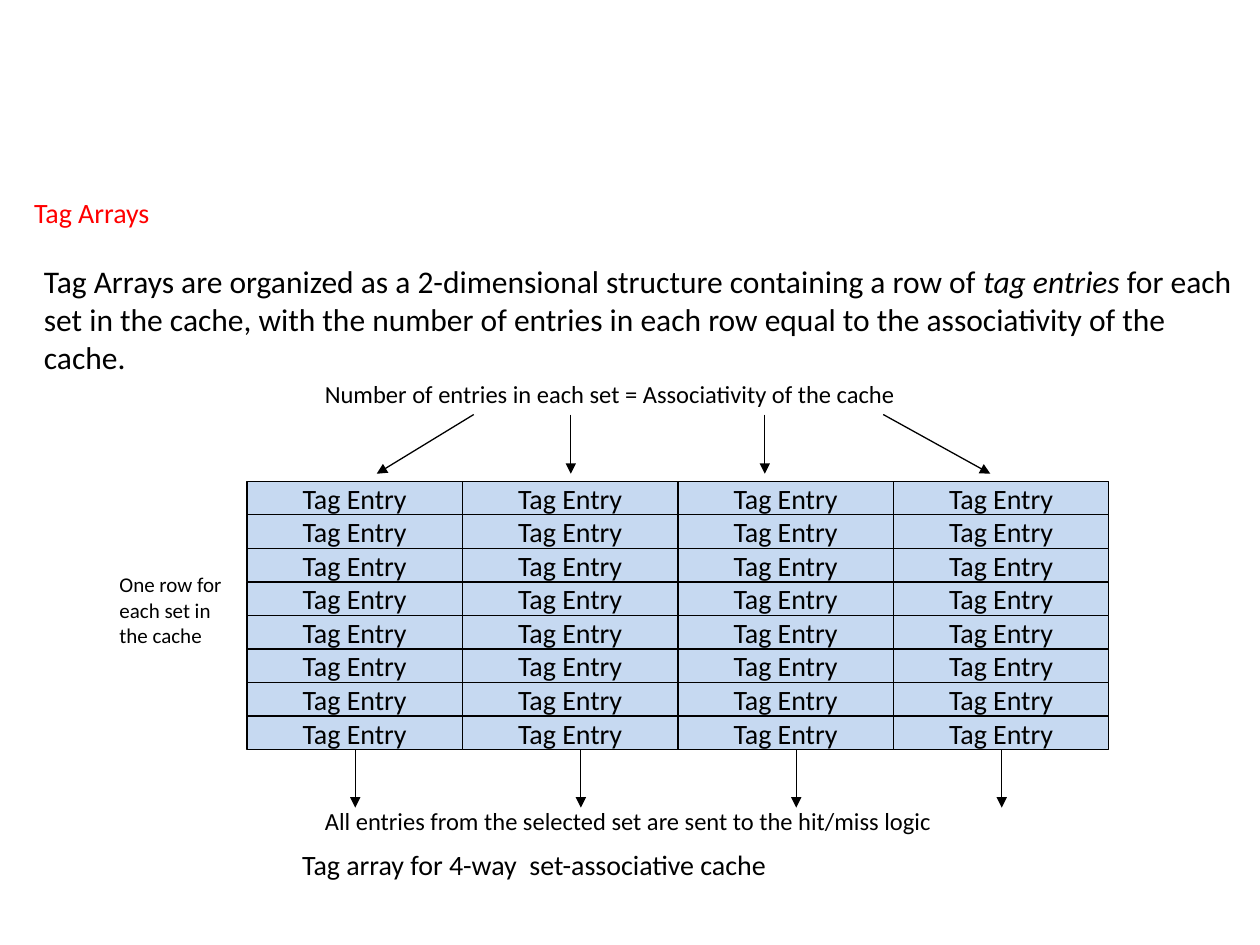
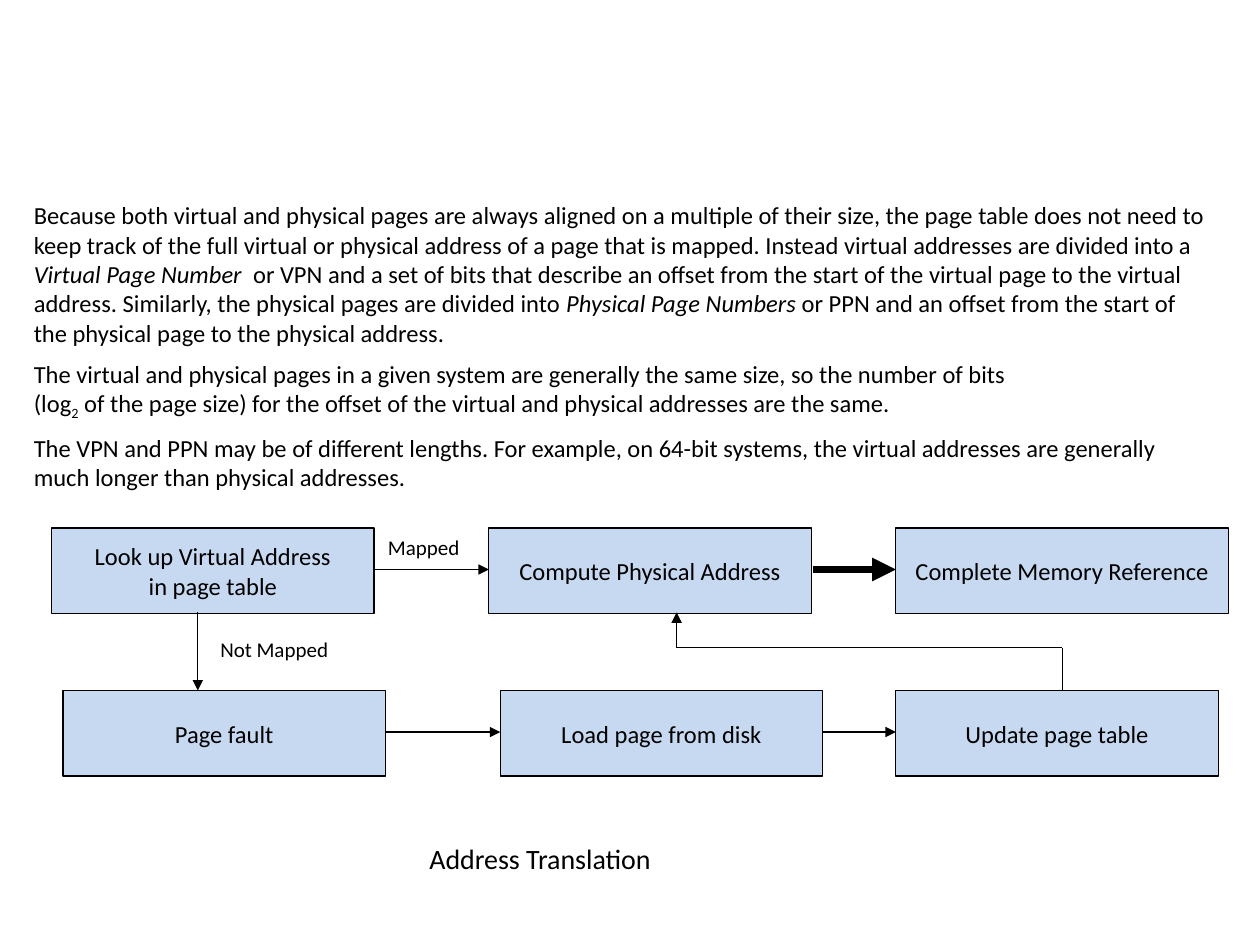
import itertools
from dataclasses import dataclass

import lxml.etree
import pptx
import pptx.dml.color
import pptx.enum.shapes
import pptx.enum.text
import pptx.oxml.ns
import pptx.util

Inches = pptx.util.Inches
Pt = pptx.util.Pt
RGB = pptx.dml.color.RGBColor
ALIGN = pptx.enum.text.PP_ALIGN
ANCHOR = pptx.enum.text.MSO_ANCHOR
TITLE_ONLY, BLANK = 5, 6


@dataclass(frozen=True)
class Theme:
    font: str = "Calibri"
    ink: RGB = RGB(0, 0, 0)
    title: RGB = RGB(255, 0, 0)
    box: RGB = RGB(0xC6, 0xD9, 0xF1)
    lead: float = 18
    heading: float = 16
    body: float = 14
    note: float = 12
    para_gap: float = 6.5
    thin: float = 0.75
    thick: float = 4.5


THEME = Theme()


# --- Text ---
def write_runs(p, runs):
    """Add runs given as plain strings or (text, style) pairs."""
    for run in runs:
        text, style = (run, None) if isinstance(run, str) else run
        for i, line in enumerate(text.split("\n")):
            if i:
                p.add_line_break()
            r = p.add_run()
            r.text = line
            if style == "italic":
                r.font.italic = True
            elif style == "sub":
                r.font._element.set("baseline", "-25000")


def fill_text(tf, paragraphs, size, color=THEME.ink, align=ALIGN.LEFT, gap=0):
    for i, runs in enumerate(paragraphs):
        p = tf.add_paragraph() if i else tf.paragraphs[0]
        p.alignment = align
        if i and gap:
            p.space_before = Pt(gap)
        p.font.name = THEME.font
        p.font.size = Pt(size)
        p.font.color.rgb = color
        write_runs(p, runs)


def add_text(slide, left, top, width, height, paragraphs, size):
    sp = slide.shapes.add_textbox(*map(Inches, (left, top, width, height)))
    sp.text_frame.word_wrap = True
    fill_text(sp.text_frame, paragraphs, size, gap=THEME.para_gap)


def set_title(slide, left, top, width, height, text):
    sp = slide.shapes.title
    sp.left, sp.top, sp.width, sp.height = map(Inches, (left, top, width, height))
    tf = sp.text_frame
    tf.vertical_anchor = ANCHOR.TOP
    tf.auto_size = pptx.enum.text.MSO_AUTO_SIZE.NONE
    fill_text(tf, [[text]], THEME.heading, THEME.title)


# --- Boxes and arrows ---
def add_box(slide, left, top, width, height, lines, size):
    sp = slide.shapes.add_shape(pptx.enum.shapes.MSO_SHAPE.RECTANGLE,
                                *map(Inches, (left, top, width, height)))
    sp.shadow.inherit = False
    sp.fill.solid()
    sp.fill.fore_color.rgb = THEME.box
    sp.line.color.rgb = THEME.ink
    sp.line.width = Pt(THEME.thin)
    tf = sp.text_frame
    tf.word_wrap = False
    tf.vertical_anchor = ANCHOR.MIDDLE
    fill_text(tf, [[line] for line in lines], size, align=ALIGN.CENTER)


def add_arrow(slide, *points, weight=THEME.thin):
    """Join the points with straight lines; the last one has an arrowhead."""
    for start, end in itertools.pairwise(points):
        line = slide.shapes.add_connector(
            pptx.enum.shapes.MSO_CONNECTOR.STRAIGHT, *map(Inches, start + end))
        line.line.color.rgb = THEME.ink
        line.line.width = Pt(weight)
        props = line._element.spPr
        lxml.etree.SubElement(props, pptx.oxml.ns.qn("a:effectLst"))
    head = lxml.etree.SubElement(line.line._get_or_add_ln(),
                                 pptx.oxml.ns.qn("a:tailEnd"))
    head.set("type", "triangle")


# --- Slides ---
def tag_arrays_slide(prs):
    slide = prs.slides.add_slide(prs.slide_layouts[TITLE_ONLY])
    set_title(slide, 0.17, 1.5, 6.24, 0.32, "Tag Arrays")
    add_text(slide, 0.25, 2.03, 9.75, 0.88, [[
        "Tag Arrays are organized as a 2-dimensional structure containing a row of ",
        ("tag entries", "italic"),
        " for each set in the cache, with the number of entries in each row "
        "equal to the associativity of the cache."]], THEME.lead)

    # Tag array: one row for each set, one column for each way
    sets, ways = 8, 4
    left, top, bottom, entry_w = 1.96, 3.82, 5.95, 1.71
    entry_h = (bottom - top) / sets
    for row, col in itertools.product(range(sets), range(ways)):
        add_box(slide, left + col * entry_w, top + row * entry_h,
                entry_w, entry_h, ["Tag Entry"], THEME.heading)

    # Arrows into and out of the array
    for x_from, x_to in ((3.76, 2.99), (4.53, 4.53), (6.07, 6.07), (7.01, 7.86)):
        add_arrow(slide, (x_from, 3.29), (x_to, 3.76))
    for x in (2.82, 4.61, 6.32, 7.95):
        add_arrow(slide, (x, bottom), (x, 6.41))

    # Labels and caption
    add_text(slide, 0.85, 4.49, 1.03, 0.79,
             [["One row for each set in the cache"]], THEME.note)
    add_text(slide, 2.48, 2.96, 5.56, 0.29,
             [["Number of entries in each set = Associativity of the cache"]],
             THEME.body)
    add_text(slide, 2.48, 6.35, 5.81, 0.29,
             [["All entries from the selected set are sent to the hit/miss logic"]],
             THEME.body)
    add_text(slide, 2.3, 6.68, 6.16, 0.32,
             [["Tag array for 4-way  set-associative cache"]], THEME.heading)


def address_translation_slide(prs):
    slide = prs.slides.add_slide(prs.slide_layouts[BLANK])
    add_text(slide, 0.17, 1.54, 9.5, 2.46, [
        ["Because both virtual and physical pages are always aligned on a multiple "
         "of their size, the page table does not need to keep track of the full "
         "virtual or physical address of a page that is mapped. Instead virtual "
         "addresses are divided into a ",
         ("Virtual Page Number ", "italic"),
         " or VPN and a set of bits that describe an offset from the start of the "
         "virtual page to the virtual address. Similarly, the physical pages are "
         "divided into ",
         ("Physical Page Numbers", "italic"),
         " or PPN and an offset from the start of the physical page to the "
         "physical address."],
        ["The virtual and physical pages in a given system are generally the same "
         "size, so the number of bits \n(log",
         ("2", "sub"),
         " of the page size) for the offset of the virtual and physical addresses "
         "are the same."],
        ["The VPN and PPN may be of different lengths. For example, on 64-bit "
         "systems, the virtual addresses are generally much longer than physical "
         "addresses."],
    ], THEME.body)

    # Flow steps: mapped pages above, page faults below
    mapped_y, fault_y, step_w, step_h = 4.19, 5.48, 2.56, 0.68
    steps = (
        (0.41, mapped_y, step_w, ["Look up Virtual Address", "in page table"]),
        (3.88, mapped_y, step_w, ["Compute Physical Address"]),
        (7.11, mapped_y, 2.64, ["Complete Memory Reference"]),
        (0.5, fault_y, step_w, ["Page fault"]),
        (3.97, fault_y, step_w, ["Load page from disk"]),
        (7.11, fault_y, step_w, ["Update page table"]),
    )
    for left, top, width, lines in steps:
        add_box(slide, left, top, width, step_h, lines, THEME.body)

    # Flow arrows
    mapped_mid, fault_mid, mapped_end, turn_y = 4.52, 5.81, 4.86, 5.14
    add_arrow(slide, (2.98, mapped_mid), (3.88, mapped_mid))
    add_arrow(slide, (1.57, mapped_end), (1.57, fault_y))
    add_arrow(slide, (3.06, fault_mid), (3.97, fault_mid))
    add_arrow(slide, (6.53, fault_mid), (7.11, fault_mid))
    add_arrow(slide, (8.43, fault_y), (8.43, turn_y), (5.37, turn_y),
              (5.37, mapped_end))
    add_arrow(slide, (6.45, mapped_mid), (7.11, mapped_mid), weight=THEME.thick)

    # Labels and caption
    add_text(slide, 2.98, 4.19, 0.91, 0.3, [["Mapped"]], THEME.note)
    add_text(slide, 1.65, 5, 1.24, 0.3, [["Not Mapped"]], THEME.note)
    add_text(slide, 3.31, 6.63, 4.13, 0.37, [["Address Translation"]], THEME.heading)


def main():
    prs = pptx.Presentation()
    prs.slide_width, prs.slide_height = Inches(10), Inches(7.5)
    tag_arrays_slide(prs)
    address_translation_slide(prs)
    prs.save("out.pptx")


if __name__ == "__main__":
    main()
